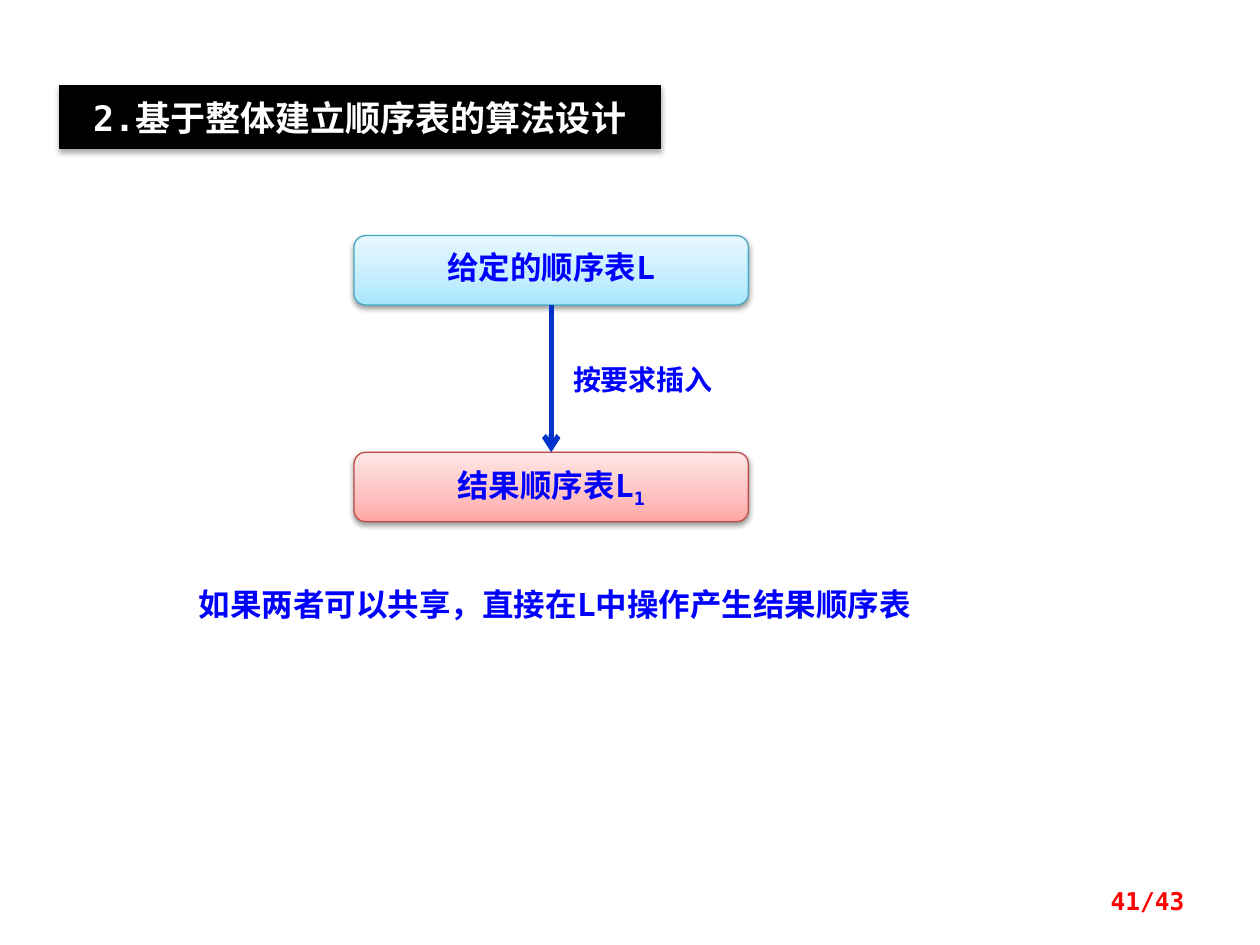
import copy
from dataclasses import dataclass

import lxml.etree
import pptx
import pptx.dml.color
import pptx.enum.shapes
import pptx.enum.text
import pptx.oxml.ns
import pptx.util

ALIGN = pptx.enum.text.PP_ALIGN
ANCHOR = pptx.enum.text.MSO_ANCHOR
qn = pptx.oxml.ns.qn


@dataclass(frozen=True)
class Theme:
    latin: str = "DejaVu Sans Mono"
    chinese: str = "Noto Sans CJK SC"
    black: str = "000000"
    white: str = "FFFFFF"
    blue: str = "0000FF"
    arrow: str = "0033CC"
    red: str = "FF0000"
    # Gradient stops from bottom to top, then the outline
    given: tuple = ("A7E6FF", "C1EDFF", "E7F8FF", "46AAC5")
    result: tuple = ("FFA6A5", "FFC0BF", "FFE7E7", "BF4C48")
    title_size: int = 20
    text_size: int = 18
    label_size: int = 16
    number_size: int = 14
    leading: int = 26


def rgb(value):
    return pptx.dml.color.RGBColor.from_string(value)


class FlowPage:
    """Places elements on a grid of 100 columns by 75 rows."""

    def __init__(self, deck, theme):
        self.theme = theme
        self.column = deck.slide_width / 100
        self.row = deck.slide_height / 75
        self.page = deck.slides.add_slide(deck.slide_layouts[5])

    def area(self, left, top, width, height):
        return (round(left * self.column), round(top * self.row),
                round(width * self.column), round(height * self.row))

    def set_text(self, box, parts, size, color, align=ALIGN.LEFT, anchor=ANCHOR.TOP):
        frame = box.text_frame
        frame.word_wrap = True
        frame.auto_size = pptx.enum.text.MSO_AUTO_SIZE.NONE
        frame.vertical_anchor = anchor
        frame.text = parts[0]
        para = frame.paragraphs[0]
        para.alignment = align
        for part in parts[1:]:
            para.add_run().text = part
        for span in para.runs:
            span.font.size = pptx.util.Pt(size)
            span.font.bold = True
            span.font.name = self.theme.latin
            span.font.color.rgb = rgb(color)
            latin = span.font._element.find(qn("a:latin"))
            east = lxml.etree.Element(qn("a:ea"), typeface=self.theme.chinese)
            latin.addnext(east)
        return para

    def outline(self, box, color):
        box.line.color.rgb = rgb(color)
        box.line.width = pptx.util.Pt(0.75)

    def cast_shadow(self, box, distance, opacity):
        box.shadow.inherit = False
        effects = box._element.spPr.find(qn("a:effectLst"))
        shadow = lxml.etree.SubElement(
            effects, qn("a:outerShdw"), blurRad="40000", dist=str(distance),
            dir="5400000", rotWithShape="0")
        tint = lxml.etree.SubElement(shadow, qn("a:srgbClr"), val=self.theme.black)
        lxml.etree.SubElement(tint, qn("a:alpha"), val=str(opacity * 1000))

    def title(self, parts, *cells):
        box = self.page.shapes.title
        box.left, box.top, box.width, box.height = self.area(*cells)
        box.fill.solid()
        box.fill.fore_color.rgb = rgb(self.theme.black)
        self.outline(box, self.theme.black)
        self.cast_shadow(box, 23000, 35)
        para = self.set_text(box, parts, self.theme.title_size, self.theme.white,
                             ALIGN.CENTER, ANCHOR.MIDDLE)
        para.runs[1].font.name = self.theme.chinese

    def node(self, parts, palette, *cells):
        box = self.page.shapes.add_shape(
            pptx.enum.shapes.MSO_SHAPE.ROUNDED_RECTANGLE, *self.area(*cells))
        *shades, edge = palette
        box.fill.gradient()
        box.fill.gradient_angle = 90
        # A new gradient has two stops; add the third
        stops = box._element.spPr.find(qn("a:gradFill")).find(qn("a:gsLst"))
        stops.append(copy.deepcopy(stops[-1]))
        for stop, shade, position in zip(box.fill.gradient_stops, shades, (0, 0.35, 1)):
            stop.color.rgb = rgb(shade)
            stop.position = position
        self.outline(box, edge)
        self.cast_shadow(box, 20000, 38)
        para = self.set_text(box, parts, self.theme.text_size, self.theme.blue,
                             ALIGN.CENTER, ANCHOR.MIDDLE)
        para.line_spacing = 0.8
        for span in para.runs[1:]:
            span.font._element.set("baseline", "-25000")
        return box

    def arrow(self, start, end):
        line = self.page.shapes.add_connector(
            pptx.enum.shapes.MSO_CONNECTOR.STRAIGHT, 0, 0, 0, 0)
        line.begin_connect(start, 2)
        line.end_connect(end, 0)
        line.line.color.rgb = rgb(self.theme.arrow)
        line.line.width = pptx.util.Pt(3)
        properties = line._element.spPr
        lxml.etree.SubElement(properties.find(qn("a:ln")), qn("a:tailEnd"), type="arrow")
        lxml.etree.SubElement(properties, qn("a:effectLst"))

    def text(self, words, size, *cells):
        box = self.page.shapes.add_textbox(*self.area(*cells))
        para = self.set_text(box, [words], size, self.theme.blue)
        para.line_spacing = pptx.util.Pt(self.theme.leading)

    def page_number(self, words, *cells):
        box = self.page.shapes.add_textbox(*self.area(*cells))
        self.set_text(box, [words], self.theme.number_size, self.theme.red,
                      ALIGN.RIGHT, ANCHOR.MIDDLE)


def main():
    deck = pptx.Presentation()
    deck.slide_width = pptx.util.Inches(10)
    deck.slide_height = pptx.util.Inches(7.5)
    theme = Theme()
    flow = FlowPage(deck, theme)

    # Heading
    flow.title(["2.", "基于整体建立顺序表的算法设计"], 4.7, 6.8, 47.7, 5)

    # Given list leads to result list
    left, width, height = 28.1, 31.3, 5.5
    given = flow.node(["给定的顺序表L"], theme.given, left, 18.7, width, height)
    result = flow.node(["结果顺序表L", "1"], theme.result, left, 35.9, width, height)
    flow.arrow(given, result)
    flow.text("按要求插入", theme.label_size, 44.5, 27.3, 15.6, 4.3)

    # Remark and page number
    flow.text("如果两者可以共享，直接在L中操作产生结果顺序表",
              theme.text_size, 14.8, 45.3, 66.4, 4.5)
    flow.page_number("41/43", 71.7, 69.5, 23.3, 4)

    deck.save("out.pptx")


if __name__ == "__main__":
    main()
